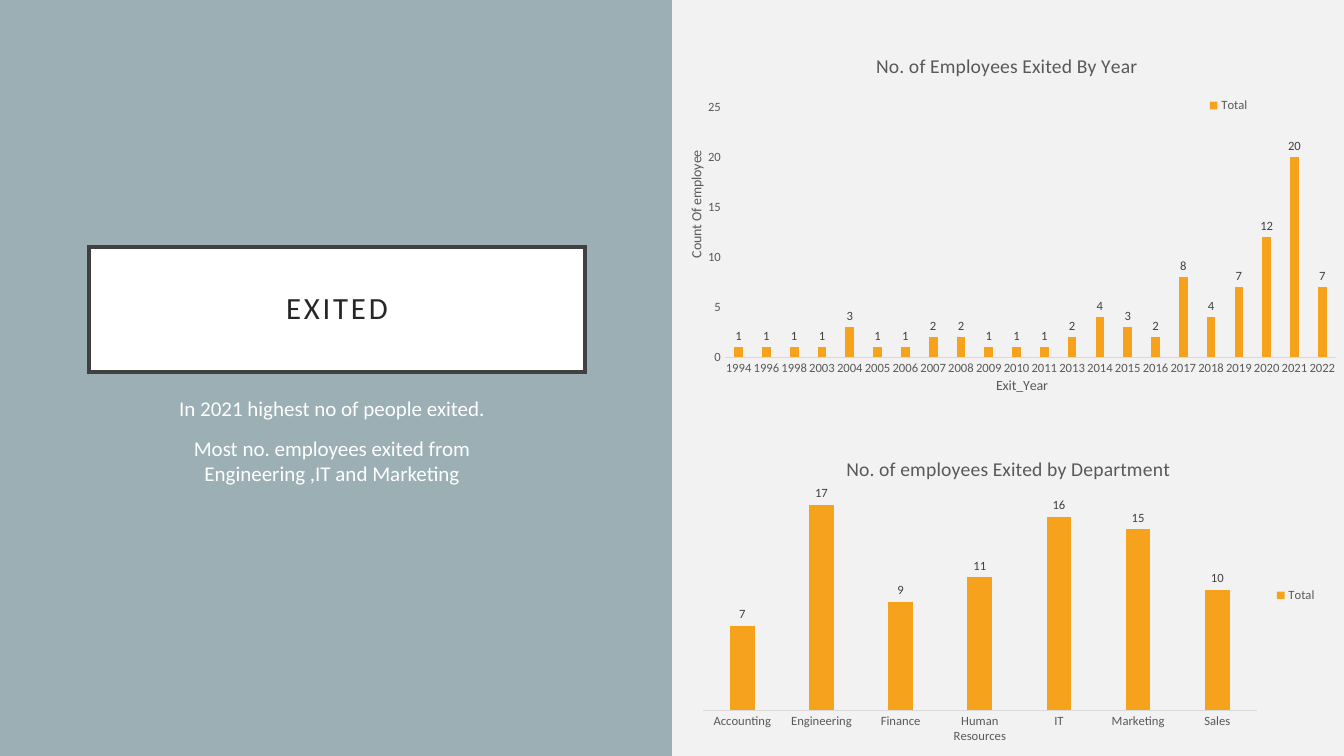
from pptx import Presentation, util as u
from pptx.chart.data import CategoryChartData
from pptx.dml.color import RGBColor
from pptx.enum import chart as ch, shapes, text
from pptx.oxml import parse_xml
from pptx.oxml.ns import nsdecls

PX = 914400 / 100.8
FONT = "Calibri"
HUES = {"back": "F2F2F2", "panel": "9BAFB5", "white": "FFFFFF",
        "frame": "404040", "head": "262626", "label": "404040",
        "grey": "595959", "rule": "D9D9D9", "bar": "F6A21D"}
YEARS = {1994: 1, 1996: 1, 1998: 1, 2003: 1, 2004: 3, 2005: 1, 2006: 1,
         2007: 2, 2008: 2, 2009: 1, 2010: 1, 2011: 1, 2013: 2, 2014: 4,
         2015: 3, 2016: 2, 2017: 8, 2018: 4, 2019: 7, 2020: 12, 2021: 20,
         2022: 7}
DEPTS = {"Accounting": 7, "Engineering": 17, "Finance": 9,
         "Human Resources": 11, "IT": 16, "Marketing": 15, "Sales": 10}


def px(n):
    return u.Emu(round(n * PX))


def hue(name):
    return RGBColor.from_string(HUES[name])


def paint(fill, name):
    fill.solid()
    fill.fore_color.rgb = hue(name)


def style(font, size, color):
    font.name, font.size, font.bold = FONT, u.Pt(size), False
    font.color.rgb = hue(color)


def write(frame, words, size, color, before=0, line=1.0, track=0):
    """Fill a text frame with one centred paragraph per line of words."""
    for i, row in enumerate(words.split("\n")):
        para = frame.add_paragraph() if i else frame.paragraphs[0]
        para.alignment = text.PP_ALIGN.CENTER
        para.space_before, para.line_spacing = u.Pt(before), line
        run = para.add_run()
        run.text = row
        style(run.font, size, color)
        if track:
            run._r.get_or_add_rPr().set("spc", str(track))


def place(node, spot, inner=False):
    """Give a chart part a manual layout: x, y and perhaps w, h."""
    for old in node.xpath("c:layout"):
        node.remove(old)
    tags = '<c:layoutTarget val="inner"/>' if inner else ""
    tags += '<c:xMode val="edge"/><c:yMode val="edge"/>'
    tags += "".join(f'<c:{k} val="{v}"/>' for k, v in zip("xywh", spot))
    layout = parse_xml(f'<c:layout {nsdecls("c")}><c:manualLayout>{tags}'
                       '</c:manualLayout></c:layout>')
    if inner:
        node.insert(0, layout)
    else:
        node.xpath("c:overlay")[0].addprevious(layout)


def bars(slide, box, title, data, top, plot, names=None, key=None):
    """Column chart; names maps axis titles to their spots."""
    source = CategoryChartData()
    source.categories = [str(k) for k in data]
    source.add_series("Total", list(data.values()))
    chart = slide.shapes.add_chart(ch.XL_CHART_TYPE.COLUMN_CLUSTERED,
                                   *map(px, box), source).chart
    style(chart.font, 10, "grey")
    write(chart.chart_title.text_frame, title, 14, "grey")
    chart.chart_title.include_in_layout = False
    place(chart.element.xpath(".//c:plotArea")[0], plot, True)

    # Columns and labels
    cols = chart.plots[0]
    cols.gap_width, cols.overlap, cols.vary_by_categories = 219, -27, False
    paint(cols.series[0].format.fill, "bar")
    cols.has_data_labels = True
    tags = cols.data_labels
    tags.show_value = True
    tags.position = ch.XL_LABEL_POSITION.OUTSIDE_END
    style(tags.font, 9, "label")

    # Axes
    cat, val = chart.category_axis, chart.value_axis
    for axis in (cat, val):
        axis.major_tick_mark = axis.minor_tick_mark = ch.XL_TICK_MARK.NONE
        axis.has_major_gridlines = False
        style(axis.tick_labels.font, 9, "grey")
    paint(cat.format.line.fill, "rule")
    cat.format.line.width = u.Pt(0.75)
    val.format.line.fill.background()
    val.minimum_scale, val.maximum_scale = 0, top
    val.visible = bool(names)
    if names:
        val.major_unit = 5
        for axis, (name, spot) in zip((cat, val), names.items()):
            write(axis.axis_title.text_frame, name, 10, "grey")
            place(axis.axis_title.element, spot)
        turn = val.axis_title.text_frame._txBody.bodyPr
        turn.set("rot", "-5400000")
        turn.set("vert", "horz")

    # Legend
    chart.has_legend = True
    chart.legend.position = ch.XL_LEGEND_POSITION.RIGHT
    chart.legend.include_in_layout = False
    style(chart.legend.font, 9, "grey")
    if key:
        place(chart.element.xpath(".//c:legend")[0], key)


def panel(slide, box):
    """Left half: coloured ground, framed title and findings."""
    x, y, w, h = box
    title = slide.shapes.title

    # Ground, behind the title
    ground = slide.shapes.add_shape(shapes.MSO_SHAPE.RECTANGLE, *map(px, box))
    ground.shadow.inherit = False
    paint(ground.fill, "panel")
    ground.line.fill.background()
    title.element.addprevious(ground.element)

    # Title with a square-cornered frame
    title.left, title.top = px(x + 89), px(y + 247)
    title.width, title.height = px(w - 176), px(125)
    paint(title.fill, "white")
    paint(title.line.fill, "frame")
    title.line.width = u.Pt(2.5)
    title.element.xpath("p:spPr/a:ln")[0].append(
        parse_xml(f'<a:miter {nsdecls("a")} lim="800000"/>'))
    frame = title.text_frame
    frame.word_wrap = True
    frame.vertical_anchor = text.MSO_ANCHOR.MIDDLE
    frame.margin_left = frame.margin_right = px(20)
    frame.margin_top = frame.margin_bottom = px(20)
    write(frame, "EXITED", 22, "head", line=0.9, track=200)

    # Findings
    note = slide.shapes.add_textbox(px(x + 123), px(y + 391), px(418), px(242))
    note.text_frame.word_wrap = True
    write(note.text_frame, "In 2021 highest no of people exited.\n"
          "Most no. employees exited from Engineering ,IT and Marketing",
          15, "white", before=10)


def main():
    deck = Presentation()
    deck.slide_width, deck.slide_height = px(1344), px(756)
    slide = deck.slides.add_slide(deck.slide_layouts[5])
    paint(slide.background.fill, "back")
    panel(slide, (0, 0, 672, 756))
    bars(slide, (671, 35, 672, 403), "No. of Employees Exited By Year",
         YEARS, 25, (0.08, 0.18, 0.91, 0.62),
         names={"Exit_Year": (0.48, 0.84), "Count Of employee": (0.02, 0.28)},
         key=(0.79, 0.15, 0.08, 0.05))
    bars(slide, (690, 440, 637, 311), "No. of employees Exited by Department",
         DEPTS, 18, (0.02, 0.17, 0.87, 0.7))
    deck.save("out.pptx")


if __name__ == "__main__":
    main()
